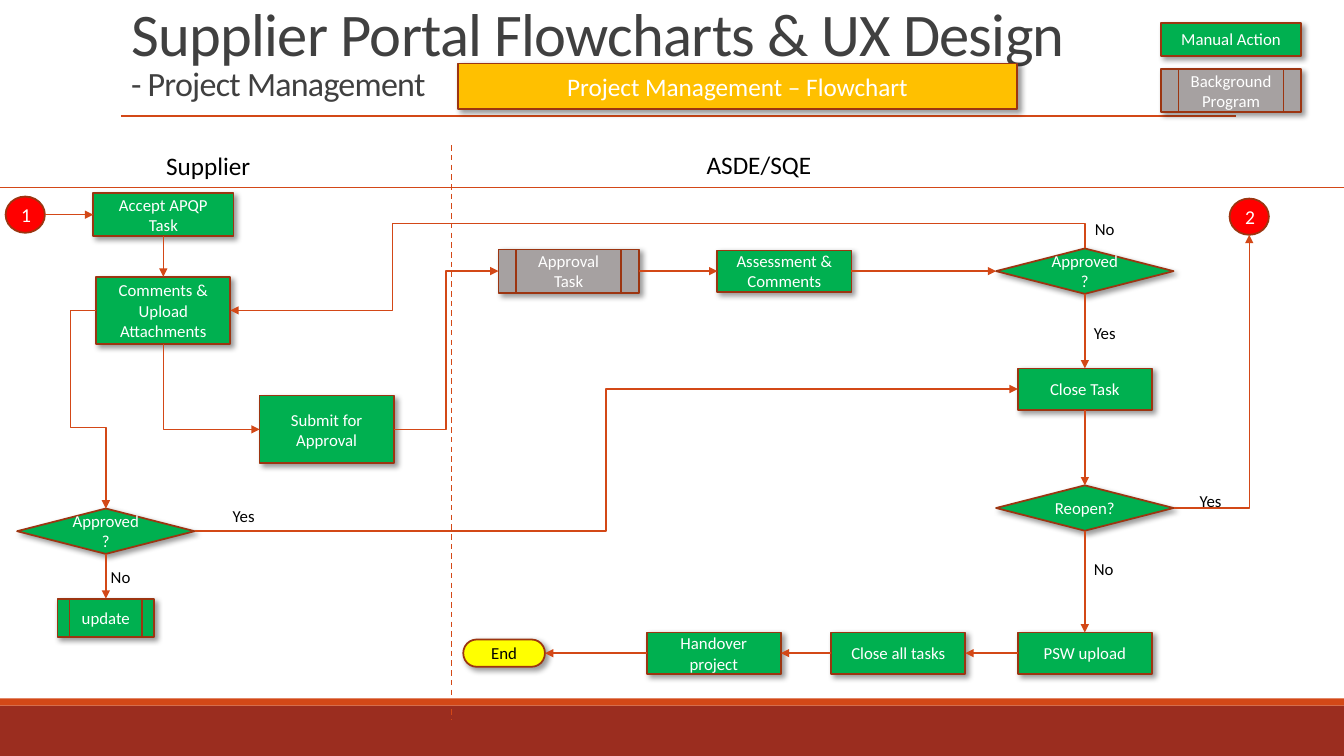
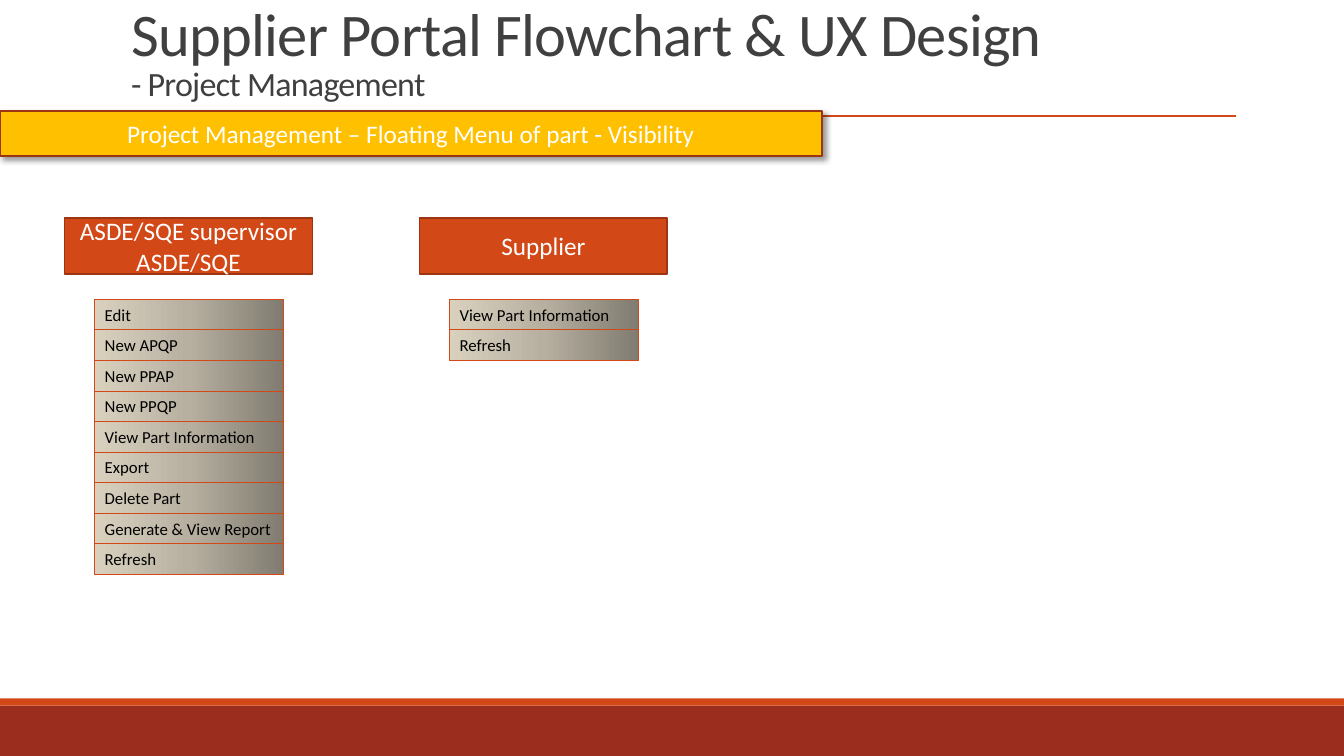
from copy import deepcopy

from lxml.etree import SubElement
from pptx import Presentation
from pptx.dml.color import RGBColor
from pptx.enum.dml import MSO_LINE
from pptx.enum.shapes import MSO_CONNECTOR as CONNECTOR, MSO_SHAPE as SHAPE
from pptx.enum.text import MSO_ANCHOR, MSO_AUTO_SIZE, PP_ALIGN
from pptx.oxml.ns import qn
from pptx.util import Inches, Pt

FONT = "Calibri"
WHITE = RGBColor(0xFF, 0xFF, 0xFF)
BLACK = RGBColor(0, 0, 0)
TITLE_GREY = RGBColor(0x40, 0x40, 0x40)
BRICK = RGBColor(0x9B, 0x2D, 0x1F)
ORANGE = RGBColor(0xD3, 0x48, 0x17)
OUTLINE = RGBColor(0x9C, 0x35, 0x11)
GREEN = RGBColor(0x00, 0xB0, 0x50)
GREY = RGBColor(0xA6, 0xA1, 0xA1)
AMBER = RGBColor(0xFF, 0xC0, 0x00)
YELLOW = RGBColor(0xFF, 0xFF, 0x00)
RED = RGBColor(0xFF, 0x00, 0x00)
MENU_GRADIENT = (
    (0, RGBColor(0xD9, 0xD1, 0xBE)),
    (0.5, RGBColor(0xB7, 0xB0, 0xA1)),
    (1, RGBColor(0x81, 0x7C, 0x71)),
)

TOP, LEFT, BOTTOM, RIGHT = range(4)
TASK = (1.33, 0.41)
TALL_TASK = (1.33, 0.67)
WIDE_TASK = (1.39, 0.43)
DECISION = (1.76, 0.45)
CIRCLE = (0.39, 0.36)
MENU_ROW_HEIGHT = 2.73 / 9


def style_text(frame, size, color, alignment=PP_ALIGN.CENTER):
    for paragraph in frame.paragraphs:
        paragraph.alignment = alignment
        paragraph.font.name = FONT
        paragraph.font.size = Pt(size)
        paragraph.font.color.rgb = color


def add_shadow(shape):
    effects = shape._element.spPr.find(qn("a:effectLst"))
    shadow = SubElement(effects, qn("a:outerShdw"), blurRad=str(Pt(4)),
                        dist=str(Pt(3)), dir="2700000", algn="tl", rotWithShape="0")
    color = SubElement(shadow, qn("a:srgbClr"), val=str(BLACK))
    SubElement(color, qn("a:alpha"), val="40000")


def add_box(shapes, kind, box, fill, text="", size=12, color=WHITE,
            outline=OUTLINE, shadow=False):
    shape = shapes.add_shape(kind, *map(Inches, box))
    shape.shadow.inherit = False
    shape.fill.solid()
    shape.fill.fore_color.rgb = fill
    if outline is None:
        shape.line.fill.background()
    else:
        shape.line.color.rgb = outline
        shape.line.width = Pt(1.25)
    if text:
        shape.text_frame.text = text
        shape.text_frame.word_wrap = True
        shape.text_frame.vertical_anchor = MSO_ANCHOR.MIDDLE
        style_text(shape.text_frame, size, color)
    if shadow:
        add_shadow(shape)
    return shape


def add_node(slide, kind, center, dimensions, text, fill=GREEN, size=12,
             color=WHITE, shadow=True):
    """Add a flowchart node placed by its center."""
    box = [middle - extent / 2 for middle, extent in zip(center, dimensions)]
    return add_box(slide.shapes, kind, (*box, *dimensions), fill, text, size,
                   color, shadow=shadow)


def add_line(slide, begin, end, kind=CONNECTOR.STRAIGHT):
    """Add a thin orange line between two points given in EMU."""
    connector = slide.shapes.add_connector(kind, *begin, *end)
    connector.line.color.rgb = ORANGE
    connector.line.width = Pt(1)
    SubElement(connector._element.spPr, qn("a:effectLst"))
    return connector


def side_point(shape, side):
    center_x = shape.left + shape.width // 2
    center_y = shape.top + shape.height // 2
    return {
        TOP: (center_x, shape.top),
        LEFT: (shape.left, center_y),
        BOTTOM: (center_x, shape.top + shape.height),
        RIGHT: (shape.left + shape.width, center_y),
    }[side]


def add_arrow(slide, begin, begin_side, end, end_side, kind=CONNECTOR.STRAIGHT):
    connector = add_line(slide, side_point(begin, begin_side),
                         side_point(end, end_side), kind)
    # An ellipse numbers its connection sites differently.
    if begin.auto_shape_type != SHAPE.OVAL:
        connector.begin_connect(begin, begin_side)
    if end.auto_shape_type != SHAPE.OVAL:
        connector.end_connect(end, end_side)
    SubElement(connector.line._get_or_add_ln(), qn("a:tailEnd"), type="triangle")
    return connector


def add_elbow(slide, begin, begin_side, end, end_side,
              preset="bentConnector3", adjustments=()):
    """Add a bent arrow; a quarter turn lets it leave a top or bottom side."""
    connector = add_arrow(slide, begin, begin_side, end, end_side, CONNECTOR.ELBOW)
    properties = connector._element.spPr
    if begin_side in (TOP, BOTTOM):
        across = connector.end_x - connector.begin_x
        down = connector.end_y - connector.begin_y
        center_x = (connector.begin_x + connector.end_x) // 2
        center_y = (connector.begin_y + connector.end_y) // 2
        connector.width, connector.height = abs(down), abs(across)
        connector.left = center_x - abs(down) // 2
        connector.top = center_y - abs(across) // 2
        transform = properties.find(qn("a:xfrm"))
        transform.set("rot", "5400000")
        transform.set("flipH", str(int(down < 0)))
        transform.set("flipV", str(int(across > 0)))
    geometry = properties.find(qn("a:prstGeom"))
    geometry.set("prst", preset)
    guides = geometry.find(qn("a:avLst"))
    for number, ratio in enumerate(adjustments, 1):
        SubElement(guides, qn("a:gd"), name=f"adj{number}",
                   fmla=f"val {round(ratio * 100000)}")


def add_label(slide, box, text, size=12):
    label = slide.shapes.add_textbox(*map(Inches, box))
    label.text_frame.text = text
    label.text_frame.word_wrap = False
    style_text(label.text_frame, size, BLACK, PP_ALIGN.LEFT)


def add_banner(slide, box, text):
    add_box(slide.shapes, SHAPE.RECTANGLE, box, AMBER, text, 18, shadow=True)


def add_title(slide, heading):
    title = slide.shapes.title
    title.left, title.top, title.width, title.height = map(Inches, (1.2, 0.27, 11, 0.81))
    frame = title.text_frame
    frame.word_wrap = True
    frame.auto_size = MSO_AUTO_SIZE.NONE
    frame.vertical_anchor = MSO_ANCHOR.BOTTOM
    paragraph = frame.paragraphs[0]
    paragraph.alignment = PP_ALIGN.LEFT
    paragraph.line_spacing = 0.85
    paragraph.font.name = FONT
    paragraph.font.color.rgb = TITLE_GREY
    for text, size in ((heading, 43.2), ("- Project Management", 24.3)):
        if paragraph.runs:
            paragraph.add_line_break()
        run = paragraph.add_run()
        run.text = text
        run.font.size = Pt(size)
        run._r.get_or_add_rPr().set("spc", "-50")


def decorate_layout(layout, slide):
    """Draw the bands and title rule on a slide, then move them to its layout."""
    parts = [
        add_box(slide.shapes, SHAPE.RECTANGLE, (0, 7, 13.33, 0.5), BRICK, outline=None),
        add_box(slide.shapes, SHAPE.RECTANGLE, (0, 6.93, 13.33, 0.07), ORANGE, outline=None),
        add_line(slide, (Inches(1.2), Inches(1.15)), (Inches(12.26), Inches(1.15))),
    ]
    for part in parts:
        layout.shapes._spTree.append(part._element)


def add_menu(slide, left, heading, items):
    add_box(slide.shapes, SHAPE.RECTANGLE, (left, 2.16, 2.46, 0.56), ORANGE, heading, 18)
    group = slide.shapes.add_group_shape()
    for index, item in enumerate(items):
        box = (left + 0.3, 2.97 + index * MENU_ROW_HEIGHT, 1.87, MENU_ROW_HEIGHT)
        row = add_box(group.shapes, SHAPE.RECTANGLE, box, GREY, item, outline=ORANGE)
        row.line.width = Pt(0.75)
        row.text_frame.vertical_anchor = MSO_ANCHOR.TOP
        style_text(row.text_frame, 12, BLACK, PP_ALIGN.LEFT)
        row.fill.gradient()
        row.fill.gradient_angle = 0
        stop_list = row._element.spPr.find(qn("a:gradFill")).find(qn("a:gsLst"))
        stop_list.append(deepcopy(stop_list[0]))
        for stop, (position, color) in zip(row.fill.gradient_stops, MENU_GRADIENT):
            stop.position = position
            stop.color.rgb = color


def build_flowchart(slide):
    add_title(slide, "Supplier Portal Flowcharts & UX Design")
    add_banner(slide, (4.54, 0.63, 5.55, 0.45), "Project Management – Flowchart")
    process, program = SHAPE.FLOWCHART_PROCESS, SHAPE.FLOWCHART_PREDEFINED_PROCESS
    decision = SHAPE.FLOWCHART_DECISION

    add_node(slide, process, (12.21, 0.39), (1.39, 0.33), "Manual Action")
    add_node(slide, program, (12.21, 0.9), WIDE_TASK, "Background Program", GREY)

    add_line(slide, (0, Inches(1.86)), (Inches(13.33), Inches(1.86)))
    divider = add_line(slide, (Inches(4.48), Inches(1.44)), (Inches(4.48), Inches(7.14)))
    divider.line.dash_style = MSO_LINE.DASH
    add_label(slide, (1.55, 1.44, 1.05, 0.4), "Supplier", 18)
    add_label(slide, (6.91, 1.43, 1.25, 0.4), "ASDE/SQE", 18)

    start = add_node(slide, SHAPE.OVAL, (0.25, 2.13), CIRCLE, "1", RED, 14, shadow=False)
    accept = add_node(slide, process, (1.62, 2.13), WIDE_TASK, "Accept APQP Task")
    comments = add_node(slide, process, (1.62, 3.08), TALL_TASK,
                        "Comments & Upload Attachments")
    submit = add_node(slide, process, (3.24, 4.26), TALL_TASK, "Submit for Approval")
    supplier_approved = add_node(slide, decision, (1.05, 5.27), DECISION, "Approved?")
    update = add_node(slide, program, (1.05, 6.13), (0.96, 0.38), "update")

    approval = add_node(slide, program, (5.64, 2.69), WIDE_TASK, "Approval Task", GREY)
    assessment = add_node(slide, process, (7.78, 2.69), TASK, "Assessment & Comments")
    approved = add_node(slide, decision, (10.76, 2.69), DECISION, "Approved?")
    close = add_node(slide, process, (10.76, 3.86), TASK, "Close Task")
    reopen = add_node(slide, decision, (10.76, 5.04), DECISION, "Reopen?")
    restart = add_node(slide, SHAPE.OVAL, (12.39, 2.15), CIRCLE, "2", RED, 14, shadow=False)
    psw_upload = add_node(slide, process, (10.76, 6.48), TASK, "PSW upload")
    close_all = add_node(slide, process, (8.91, 6.48), TASK, "Close all tasks")
    handover = add_node(slide, process, (7.08, 6.48), TASK, "Handover project")
    end = add_node(slide, SHAPE.FLOWCHART_TERMINATOR, (5, 6.48), (0.81, 0.27), "End",
                   YELLOW, color=BLACK)

    for source, target in ((start, accept), (approval, assessment), (assessment, approved)):
        add_arrow(slide, source, RIGHT, target, LEFT)
    for source, target in ((accept, comments), (supplier_approved, update),
                           (approved, close), (close, reopen), (reopen, psw_upload)):
        add_arrow(slide, source, BOTTOM, target, TOP)
    for source, target in ((psw_upload, close_all), (close_all, handover), (handover, end)):
        add_arrow(slide, source, LEFT, target, RIGHT)

    add_elbow(slide, submit, RIGHT, approval, LEFT)
    add_elbow(slide, supplier_approved, RIGHT, close, LEFT)
    add_elbow(slide, comments, BOTTOM, submit, LEFT, "bentConnector2")
    add_elbow(slide, reopen, RIGHT, restart, BOTTOM, "bentConnector2")
    add_elbow(slide, comments, LEFT, supplier_approved, TOP, "bentConnector4", (-2.67, 0.59))
    add_elbow(slide, approved, TOP, comments, RIGHT, "bentConnector4", (-0.4, 0.81))

    for left, top, text in ((1, 5.57, "No"), (10.76, 2.12, "No"), (10.75, 5.49, "No"),
                            (10.75, 3.15, "Yes"), (11.8, 4.82, "Yes"), (2.21, 4.97, "Yes")):
        add_label(slide, (left, top, 0.4 if text == "No" else 0.42, 0.3), text)


def build_menus(slide):
    add_title(slide, "Supplier Portal Flowchart & UX Design")
    add_banner(slide, (0, 1.1, 8.15, 0.45),
               "Project Management – Floating Menu of part - Visibility")
    add_menu(slide, 0.64, "ASDE/SQE supervisor\nASDE/SQE", (
        "Edit", "New APQP", "New PPAP", "New PPQP", "View Part Information",
        "Export", "Delete Part", "Generate & View Report", "Refresh"))
    add_menu(slide, 4.16, "Supplier", ("View Part Information", "Refresh"))


def main():
    presentation = Presentation()
    presentation.slide_width = Inches(13.33)
    presentation.slide_height = Inches(7.5)
    layout = presentation.slide_layouts[5]
    flowchart, menus = [presentation.slides.add_slide(layout) for _ in range(2)]
    decorate_layout(layout, flowchart)
    build_flowchart(flowchart)
    build_menus(menus)
    presentation.save("out.pptx")


if __name__ == "__main__":
    main()
